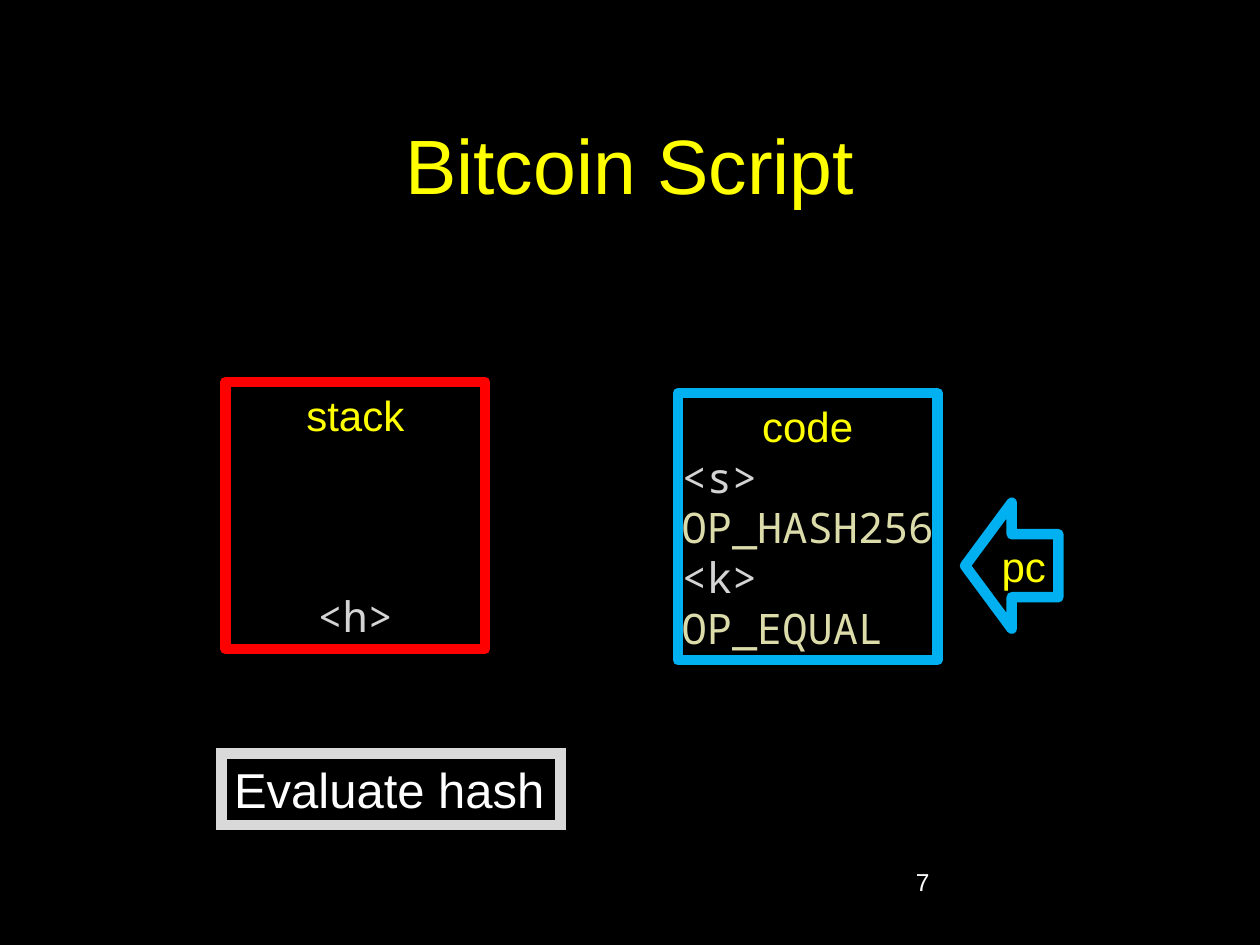
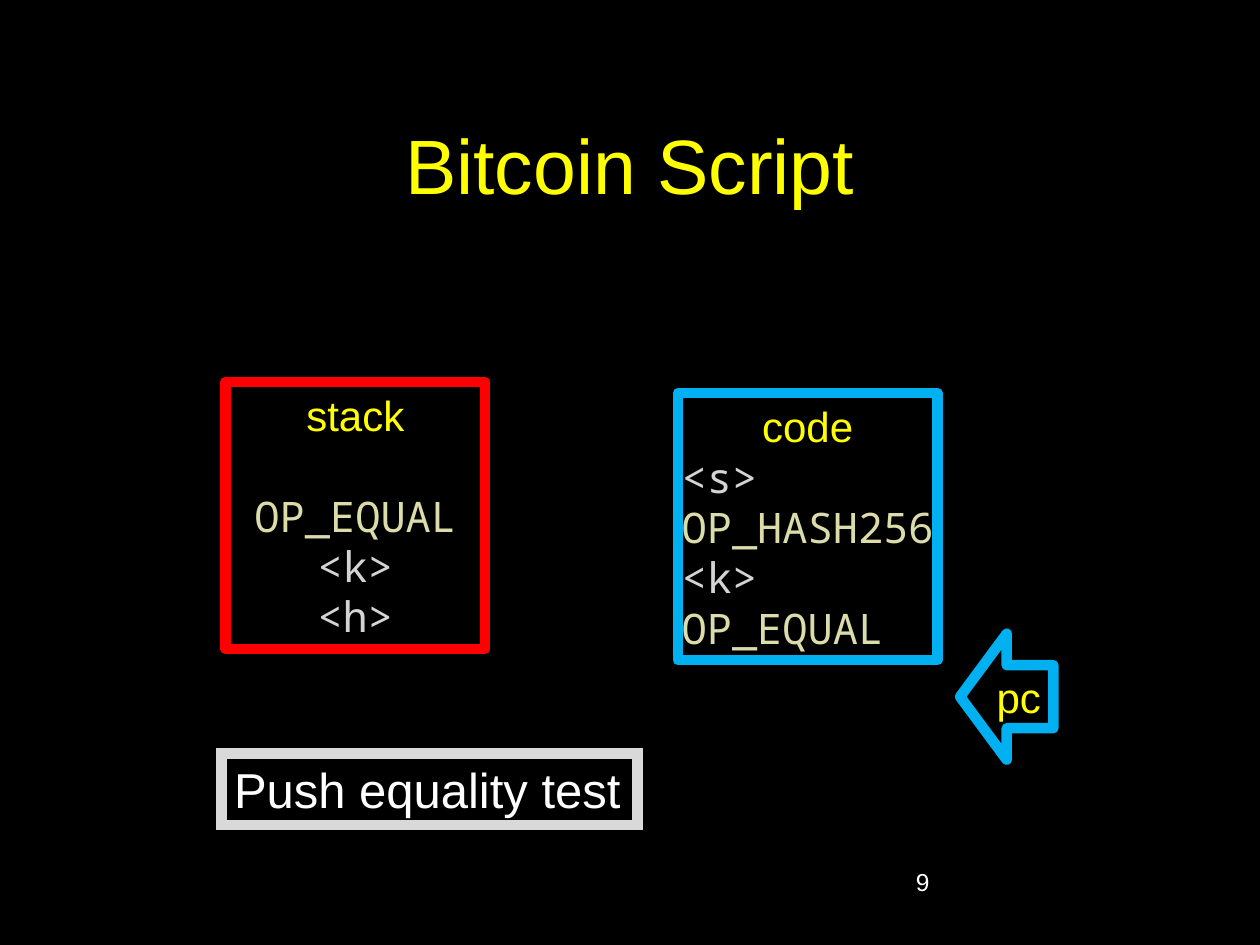
"""Build two slides that step through a Bitcoin Script evaluation."""
import dataclasses

import pptx
import pptx.dml.color
import pptx.enum.shapes
import pptx.enum.text
import pptx.oxml
import pptx.oxml.ns
import pptx.util

Inches = pptx.util.Inches
Pt = pptx.util.Pt
Align = pptx.enum.text.PP_ALIGN
Anchor = pptx.enum.text.MSO_ANCHOR
Shape = pptx.enum.shapes.MSO_SHAPE

TITLE = "Bitcoin Script"
CODE = ["<s>", "OP_HASH256", "<k>", "OP_EQUAL"]
STEPS = [
    {"number": "7", "stack": ["<h>"], "pointer": (7.66, 3.99),
     "caption": "Evaluate hash", "caption_width": 2.69},
    {"number": "9", "stack": ["OP_EQUAL", "<k>", "<h>"], "pointer": (7.62, 5.03),
     "caption": "Push equality test", "caption_width": 3.3},
]


@dataclasses.dataclass(frozen=True)
class Theme:
    background: str = "000000"
    heading: str = "FFFF00"
    plain: str = "FFFFFF"
    value: str = "D4D4D4"
    operator: str = "DCDCAA"
    code_line: str = "00B0F0"
    stack_line: str = "FF0000"
    caption_line: str = "D9D9D9"
    text_font: str = "Arial"
    code_font: str = "Noto Sans Mono"
    title_size: int = 44
    caption_size: int = 28
    body_size: int = 24
    number_size: int = 14
    line_width: int = 6
    row_height: float = 28.8


THEME = Theme()


def rgb(color):
    return pptx.dml.color.RGBColor.from_string(color)


def add_run(paragraph, text, size, color, font=THEME.text_font, align=Align.LEFT):
    paragraph.alignment = align
    run = paragraph.add_run()
    run.text = text
    run.font.size = Pt(size)
    run.font.name = font
    run.font.color.rgb = rgb(color)


def add_text(slide, place, text, size, color, align, anchor):
    box = slide.shapes.add_textbox(*map(Inches, place))
    box.text_frame.word_wrap = True
    box.text_frame.vertical_anchor = anchor
    add_run(box.text_frame.paragraphs[0], text, size, color, align=align)


def add_outlined(slide, kind, place, color, join="round", anchor=Anchor.MIDDLE, grow=False):
    shape = slide.shapes.add_shape(kind, *map(Inches, place))
    shape.shadow.inherit = False
    shape.fill.solid()
    shape.fill.fore_color.rgb = rgb(THEME.background)
    shape.line.color.rgb = rgb(color)
    shape.line.width = Pt(THEME.line_width)
    outline = shape.line._get_or_add_ln()
    outline.append(pptx.oxml.parse_xml(f"<a:{join} {pptx.oxml.ns.nsdecls('a')}/>"))
    frame = shape.text_frame
    frame.word_wrap = False
    frame.vertical_anchor = anchor
    if grow:
        frame.auto_size = pptx.enum.text.MSO_AUTO_SIZE.SHAPE_TO_FIT_TEXT
    return frame


def add_listing(slide, label, rows, left, top, color, align):
    frame = add_outlined(slide, Shape.RECTANGLE, (left, top, 2.06, 2.12), color)
    add_run(frame.paragraphs[0], label, THEME.body_size, THEME.heading, align=Align.CENTER)
    for index, row in enumerate(rows):
        paragraph = frame.add_paragraph()
        if index == 0:
            paragraph.space_before = Pt((len(CODE) - len(rows)) * THEME.row_height)
        row_color = THEME.operator if row.startswith("OP_") else THEME.value
        add_run(paragraph, row, THEME.body_size, row_color, THEME.code_font, align)


def add_step(presentation, step):
    slide = presentation.slides.add_slide(presentation.slide_layouts[6])
    slide.background.fill.solid()
    slide.background.fill.fore_color.rgb = rgb(THEME.background)
    add_text(slide, (0.75, 0.67, 8.5, 1.25), TITLE, THEME.title_size, THEME.heading,
             Align.CENTER, Anchor.MIDDLE)
    add_text(slide, (7.17, 6.83, 2.08, 0.5), step["number"], THEME.number_size,
             THEME.plain, Align.LEFT, Anchor.TOP)
    add_listing(slide, "code", CODE, 5.38, 3.12, THEME.code_line, Align.LEFT)
    add_listing(slide, "stack", step["stack"], 1.79, 3.03, THEME.stack_line, Align.CENTER)
    pointer = add_outlined(slide, Shape.LEFT_ARROW, (*step["pointer"], 0.74, 1),
                           THEME.code_line, grow=True)
    add_run(pointer.paragraphs[0], "pc", THEME.body_size, THEME.heading, align=Align.RIGHT)
    caption = add_outlined(slide, Shape.RECTANGLE, (1.76, 5.98, step["caption_width"], 0.57),
                           THEME.caption_line, "miter", Anchor.TOP, grow=True)
    add_run(caption.paragraphs[0], step["caption"], THEME.caption_size, THEME.plain)


def main():
    presentation = pptx.Presentation()
    presentation.slide_width = Inches(10)
    presentation.slide_height = Inches(7.5)
    for step in STEPS:
        add_step(presentation, step)
    presentation.save("out.pptx")


if __name__ == "__main__":
    main()
